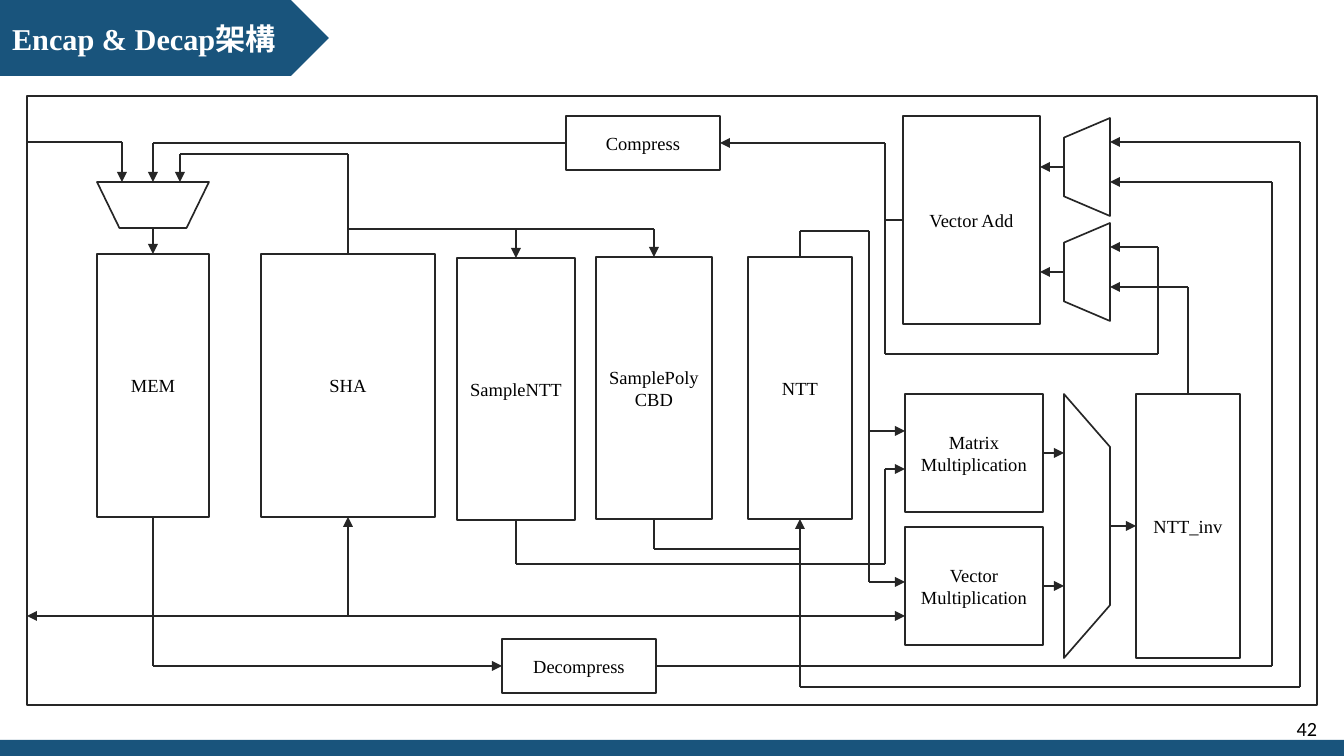
import pptx
import pptx.util
import pptx.dml.color
import pptx.enum.shapes
import pptx.enum.text
import pptx.oxml.ns
from lxml import etree

# ---- Content (lengths in px, 121 to the inch) ----
SLIDE = (1344, 756)
TITLE = "Encap & Decap架構"
PAGE = "42"
BANNER = (0, 0, 329, 76)
FOOTER = (0, 740, 1344, 16)
FRAME = (27, 96, 1290, 609)
PAGE_BOX = (1016, 709, 313, 40)

BLOCKS = {  # label: left, top, width, height
    "MEM": (97, 254, 112, 263),
    "SHA": (261, 254, 174, 263),
    "SampleNTT": (457, 258, 118, 262),
    "SamplePolyCBD": (596, 257, 116, 262),
    "NTT": (748, 257, 104, 262),
    "Compress": (566, 116, 154, 54),
    "Decompress": (502, 639, 154, 54),
    "Vector Add": (903, 116, 137, 208),
    "Matrix Multiplication": (905, 394, 138, 118),
    "Vector Multiplication": (905, 527, 138, 118),
    "NTT_inv": (1136, 394, 104, 264),
}

MUXES = [  # left, top, width, height as seen, then rotation
    (97, 182, 112, 46, 0),
    (1064, 118, 46, 98, 90),
    (1064, 223, 46, 98, 90),
    (1064, 394, 46, 264, 270),
]

ARROWS = [  # corner points, head at the last one
    [(27, 142), (122, 142), (122, 182)],
    [(566, 143), (153, 143), (153, 182)],
    [(348, 254), (348, 154), (180, 154), (180, 182)],
    [(153, 228), (153, 254)],
    [(348, 229), (654, 229), (654, 257)],
    [(516, 229), (516, 258)],
    [(153, 517), (153, 616), (348, 616), (348, 517)],
    [(348, 616), (27, 616)],
    [(348, 616), (905, 616)],
    [(153, 616), (153, 666), (502, 666)],
    [(516, 520), (516, 564), (885, 564), (885, 469), (905, 469)],
    [(654, 519), (654, 549), (800, 549), (800, 519)],
    [(800, 549), (800, 687), (1300, 687), (1300, 142), (1110, 142)],
    [(800, 257), (800, 231), (869, 231), (869, 582), (905, 582)],
    [(869, 431), (905, 431)],
    [(656, 666), (1272, 666), (1272, 182), (1110, 182)],
    [(1043, 453), (1064, 453)],
    [(1043, 586), (1064, 586)],
    [(1110, 526), (1136, 526)],
    [(1188, 394), (1188, 287), (1110, 287)],
    [(1064, 167), (1040, 167)],
    [(1064, 272), (1040, 272)],
    [(903, 220), (885, 220), (885, 143), (720, 143)],
    [(885, 220), (885, 354), (1158, 354), (1158, 247), (1110, 247)],
]

# ---- Theme ----
RGB = pptx.dml.color.RGBColor.from_string
ALIGN = pptx.enum.text.PP_ALIGN
THEME = {
    "blue": RGB("19547C"),
    "ink": RGB("262626"),
    "line": pptx.util.Pt(1),
    "title": {"name": "Times New Roman", "size": pptx.util.Pt(18), "bold": True,
              "color": RGB("FFFFFF"), "align": ALIGN.LEFT},
    "block": {"name": "Times New Roman", "size": pptx.util.Pt(11),
              "color": RGB("000000"), "align": ALIGN.CENTER},
    "page": {"name": "Calibri", "size": pptx.util.Pt(12),
             "color": RGB("000000"), "align": ALIGN.RIGHT},
}
SHAPE = pptx.enum.shapes.MSO_SHAPE
SCALE = 7557


def emu(*lengths):
    return [n * SCALE for n in lengths]


# ---- Helpers ----
def write(shape, text, style):
    tf = shape.text_frame
    frame = {"word_wrap": True, "auto_size": pptx.enum.text.MSO_AUTO_SIZE.NONE,
             "vertical_anchor": pptx.enum.text.MSO_ANCHOR.MIDDLE}
    for key, value in frame.items():
        setattr(tf, key, value)
    p = tf.paragraphs[0]
    p.alignment = style["align"]
    r = p.add_run()
    r.text = text
    for key in ("name", "size", "bold"):
        if key in style:
            setattr(r.font, key, style[key])
    r.font.color.rgb = style["color"]


def add_shape(s, kind, box, fill=None):
    sp = s.shapes.add_shape(kind, *emu(*box))
    sp.shadow.inherit = False
    if fill is None:
        sp.fill.background()
        sp.line.color.rgb = THEME["ink"]
        sp.line.width = THEME["line"]
    else:
        sp.fill.solid()
        sp.fill.fore_color.rgb = fill
        sp.line.fill.background()
    return sp


def add_mux(s, x, y, w, h, turn):
    if turn:  # a quarter turn swaps the sides about the same centre
        x, y, w, h = x + (w - h) // 2, y + (h - w) // 2, h, w
    add_shape(s, SHAPE.FLOWCHART_MANUAL_OPERATION, (x, y, w, h)).rotation = turn


def side_middles(x, y, w, h):
    return [(x + w / 2, y), (x, y + h / 2), (x + w / 2, y + h), (x + w, y + h / 2)]


def add_wire(s, start, end, head, sites):
    c = s.shapes.add_connector(pptx.enum.shapes.MSO_CONNECTOR.STRAIGHT,
                               *emu(*start, *end))
    c.line.color.rgb = THEME["ink"]
    c.line.width = THEME["line"]
    qn = pptx.oxml.ns.qn
    spPr = c.element.spPr
    if head:
        etree.SubElement(spPr.find(qn("a:ln")), qn("a:tailEnd"), type="triangle")
    etree.SubElement(spPr, qn("a:effectLst"))
    if start in sites:
        c.begin_connect(*sites[start])
    if end in sites:
        c.end_connect(*sites[end])


def main():
    prs = pptx.Presentation()
    prs.slide_width, prs.slide_height = emu(*SLIDE)
    s = prs.slides.add_slide(prs.slide_layouts[5])

    # Footer bar, banner and title
    add_shape(s, SHAPE.RECTANGLE, FOOTER, THEME["blue"])
    banner = add_shape(s, SHAPE.PENTAGON, BANNER, THEME["blue"])
    title = s.shapes.title
    for key, value in zip(("left", "top", "width", "height"), emu(*BANNER)):
        setattr(title, key, value)
    banner.element.addnext(title.element)
    write(title, TITLE, THEME["title"])

    # Frame, blocks and multiplexers
    add_shape(s, SHAPE.RECTANGLE, FRAME)
    sites = {}
    for label, box in BLOCKS.items():
        sp = add_shape(s, SHAPE.RECTANGLE, box)
        write(sp, label, THEME["block"])
        for side, point in enumerate(side_middles(*box)):
            sites[point] = (sp, side)
    for mux in MUXES:
        add_mux(s, *mux)

    # Wires
    for points in ARROWS:
        for start, end in zip(points, points[1:]):
            add_wire(s, start, end, end == points[-1], sites)

    # Page number
    write(s.shapes.add_textbox(*emu(*PAGE_BOX)), PAGE, THEME["page"])
    prs.save("out.pptx")


if __name__ == "__main__":
    main()
